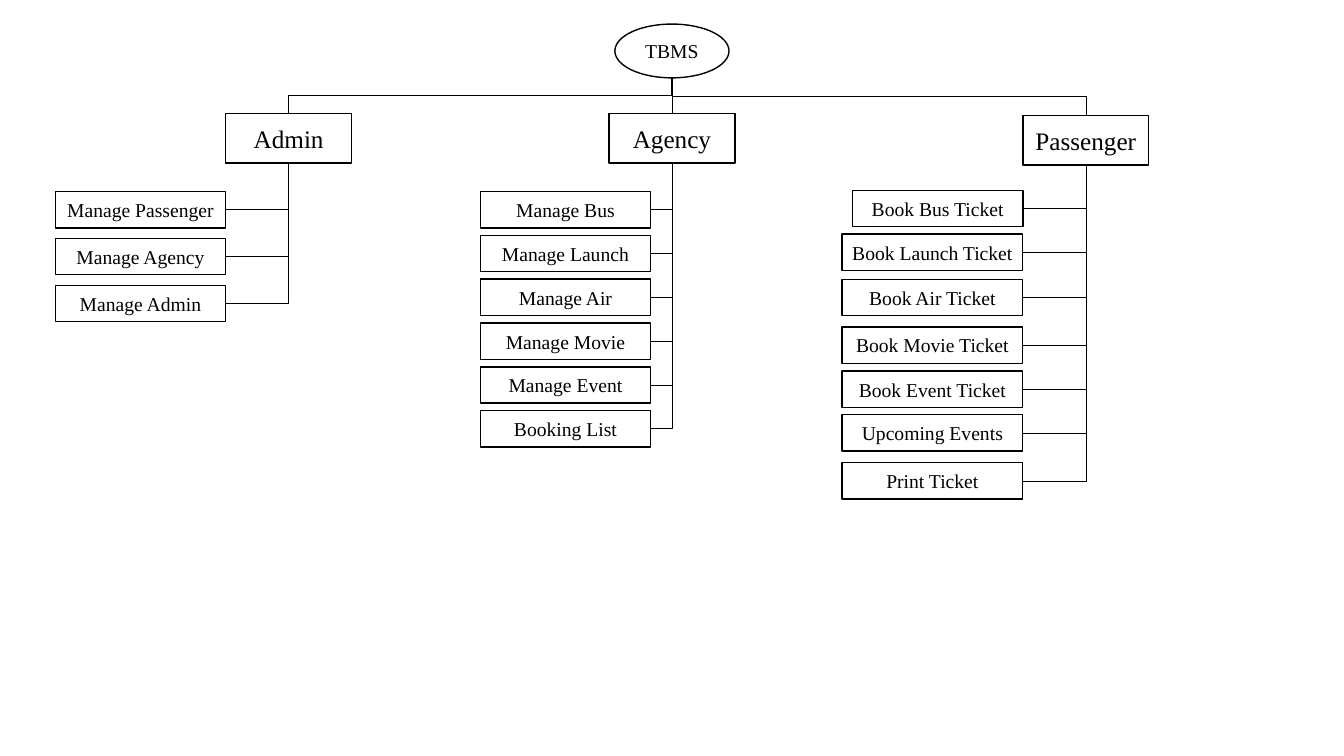
import dataclasses

import lxml.etree
import pptx
import pptx.dml.color
import pptx.enum.shapes
import pptx.enum.text
import pptx.oxml.ns
import pptx.util

Pt = pptx.util.Pt
RGB = pptx.dml.color.RGBColor
KIND = pptx.enum.shapes.MSO_SHAPE
LINK = pptx.enum.shapes.MSO_CONNECTOR
qn = pptx.oxml.ns.qn
TOP, BOTTOM, RIGHT = 0, 2, 3  # connection sites of a rectangle


@dataclasses.dataclass
class Theme:
    font: str = "Times New Roman"
    ink: RGB = RGB(0, 0, 0)
    paper: RGB = RGB(255, 255, 255)
    head: float = 18
    body: float = 14
    edge: float = 1
    wire: float = 0.5


def write(shape, text, *, font, size, color):
    frame = shape.text_frame
    frame.word_wrap = False
    frame.vertical_anchor = pptx.enum.text.MSO_ANCHOR.MIDDLE
    para = frame.paragraphs[0]
    para.alignment = pptx.enum.text.PP_ALIGN.CENTER
    run = para.add_run()
    run.text = text
    run.font.name = font
    run.font.size = Pt(size)
    run.font.color.rgb = color


class Chart:
    def __init__(self, slide, theme):
        self.slide = slide
        self.theme = theme

    def node(self, text, x, y, w, h, size, kind=KIND.RECTANGLE):
        look = self.theme
        shape = self.slide.shapes.add_shape(kind, Pt(x), Pt(y), Pt(w), Pt(h))
        shape.shadow.inherit = False
        shape.fill.solid()
        shape.fill.fore_color.rgb = look.paper
        shape.line.color.rgb = look.ink
        shape.line.width = Pt(look.edge)
        write(shape, text, font=look.font, size=size, color=look.ink)
        return shape

    def join(self, start, end, site, bend):
        """Draw an elbow from the foot of start to a site of end."""
        wire = self.slide.shapes.add_connector(LINK.ELBOW, 0, 0, 0, 0)
        if start.auto_shape_type == KIND.RECTANGLE:
            wire.begin_connect(start, BOTTOM)
        wire.end_connect(end, site)
        x1, y1 = start.left + start.width // 2, start.top + start.height
        if site == TOP:
            x2, y2 = end.left + end.width // 2, end.top
        else:
            x2, y2 = end.left + end.width, end.top + end.height // 2
        # The elbow lies on its side, so width and height swap.
        run, drop = abs(x2 - x1), y2 - y1
        wire.left = (x1 + x2 - drop) // 2
        wire.top = (y1 + y2 - run) // 2
        wire.width, wire.height = drop, run
        props = wire._element.spPr
        frame = props.find(qn("a:xfrm"))
        for flip in ("flipH", "flipV"):
            frame.attrib.pop(flip, None)
        right = x2 > x1
        frame.set("rot", str((270 if right else 90) * 60000))
        if right:
            frame.set("flipH", "1")
        props.find(qn("a:prstGeom")).set("prst", bend)
        wire.line.color.rgb = self.theme.ink
        wire.line.width = Pt(self.theme.wire)
        lxml.etree.SubElement(props, qn("a:effectLst"))

    def branch(self, root, name, x, y, edge, items):
        """Draw a head with its items, whose right sides meet at edge."""
        head = self.node(name, x, y, 90, 35.3, self.theme.head)
        self.join(root, head, TOP, "bentConnector3")
        for text, top, wide in items:
            item = self.node(text, edge - wide, top, wide, 26, self.theme.body)
            self.join(head, item, RIGHT, "bentConnector2")


def stack(names, pitch, wide=121.7):
    return [(name, 136.8 + i * pitch, wide) for i, name in enumerate(names)]


ADMIN = stack(["Manage Passenger", "Manage Agency", "Manage Admin"], 33.5)
AGENCY = stack(["Manage Bus", "Manage Launch", "Manage Air", "Manage Movie",
                "Manage Event", "Booking List"], 31.3)
PASSENGER = [
    ("Book Bus Ticket", 136, 121.7),
    ("Book Launch Ticket", 167.2, 129.2),
    ("Book Air Ticket", 199.5, 129.2),
    ("Book Movie Ticket", 233.5, 129.2),
    ("Book Event Ticket", 265, 129.2),
    ("Upcoming Events", 296.2, 129.2),
    ("Print Ticket", 330.5, 129.2),
]


def main():
    deck = pptx.Presentation()
    deck.slide_width, deck.slide_height = Pt(960.5), Pt(540)
    slide = deck.slides.add_slide(deck.slide_layouts[6])
    chart = Chart(slide, Theme())
    root = chart.node("TBMS", 439.4, 17.2, 81.6, 38.4, chart.theme.body, KIND.OVAL)
    chart.branch(root, "Admin", 161.3, 81.2, 161.3, ADMIN)
    chart.branch(root, "Agency", 435.2, 81.2, 465, AGENCY)
    chart.branch(root, "Passenger", 731, 82.7, 731, PASSENGER)
    deck.save("out.pptx")


if __name__ == "__main__":
    main()
